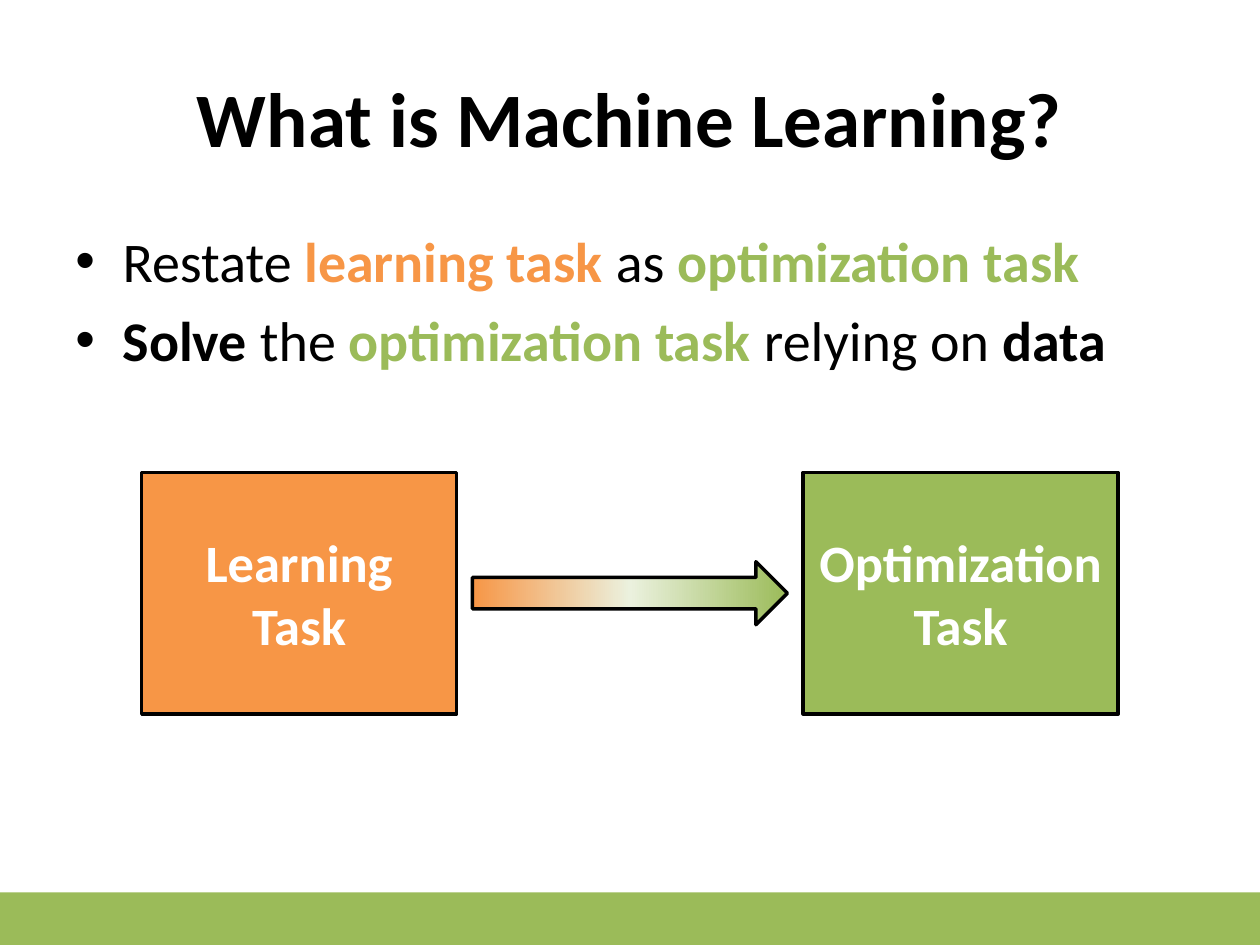
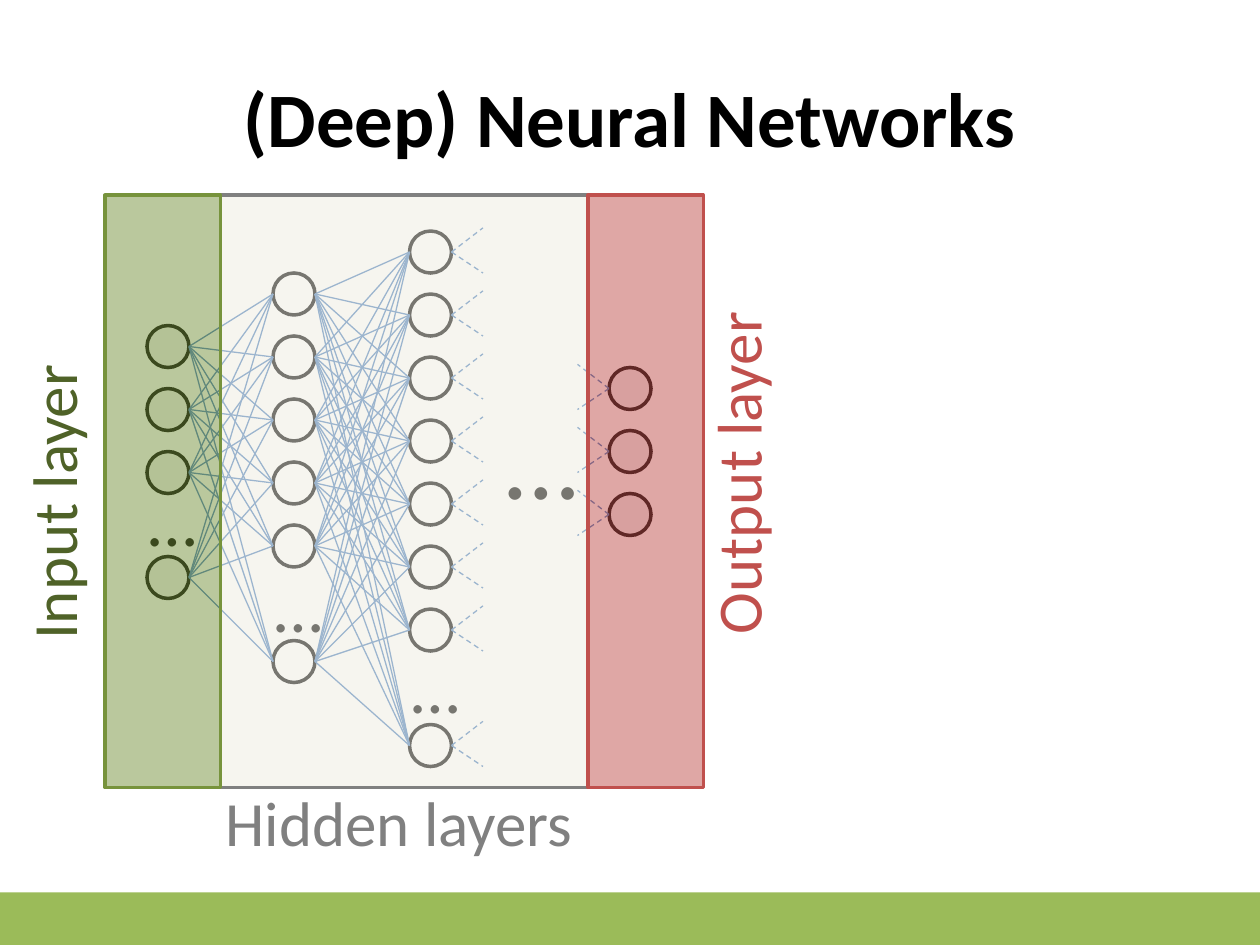
from copy import deepcopy

from lxml.etree import SubElement
from pptx import Presentation
from pptx.dml.color import RGBColor
from pptx.enum.dml import MSO_LINE
from pptx.enum.shapes import MSO_CONNECTOR, MSO_SHAPE
from pptx.enum.text import MSO_ANCHOR, PP_ALIGN
from pptx.oxml.ns import qn
from pptx.util import Pt

PX = 7620  # EMU per px, 120 px to the inch
FONT = "Calibri"
C = {
    "black": "000000", "white": "FFFFFF", "orange": "F79646", "green": "9BBB59",
    "pale_green": "EBF1DE", "node_grey": "F2F2F2", "link": "4B7EBC",
    "cream": "EEECE1", "grey": "808080", "olive": "77933C",
    "dark_olive": "4F6228", "red": "C0504D",
}


def add_box(s, kind, at, fill, line=None):
    sp = s.shapes.add_shape(kind, *[v * PX for v in at])
    sp.shadow.inherit = False
    sp.fill.solid()
    sp.fill.fore_color.rgb = RGBColor.from_string(C[fill])
    if line:
        sp.line.color.rgb = RGBColor.from_string(C[line])
        sp.line.width = Pt(2)
    else:
        sp.line.fill.background()
    return sp


def add_runs(p, size, runs, align=PP_ALIGN.CENTER):
    p.alignment = align
    for text, color, bold in runs:
        r = p.add_run()
        r.text = text
        r.font.name = FONT
        r.font.size = Pt(size)
        r.font.bold = bold
        r.font.color.rgb = RGBColor.from_string(C[color])


prs = Presentation()
prs.slide_width, prs.slide_height = 1200 * PX, 900 * PX

# Shared title and bottom band
slides = []
for title in ["What is Machine Learning?", "(Deep) Neural Networks"]:
    s = prs.slides.add_slide(prs.slide_layouts[5])
    add_box(s, MSO_SHAPE.RECTANGLE, (0, 850, 1200, 50), "green")
    sp = s.shapes.title
    sp.left, sp.top, sp.width, sp.height = [v * PX for v in (60, 36, 1080, 150)]
    sp.text_frame.vertical_anchor = MSO_ANCHOR.MIDDLE
    add_runs(sp.text_frame.paragraphs[0], 44, [(title, "black", True)])
    slides.append(s)
task_slide, network_slide = slides

# Slide 1: bullets
bullets = [
    [("Restate ", "black", False), ("learning task", "orange", True),
     (" as ", "black", False), ("optimization task", "green", True)],
    [("Solve", "black", True), (" the ", "black", False),
     ("optimization task", "green", True), (" relying on ", "black", False),
     ("data", "black", True)],
]
tf = task_slide.shapes.add_textbox(60 * PX, 210 * PX, 1080 * PX, 594 * PX).text_frame
tf.word_wrap = True
for i, runs in enumerate(bullets):
    p = tf.add_paragraph() if i else tf.paragraphs[0]
    add_runs(p, 32, runs, PP_ALIGN.LEFT)
    p.space_before = Pt(6.4)
    pPr = p._p.get_or_add_pPr()
    pPr.set("marL", str(45 * PX))
    pPr.set("indent", str(-45 * PX))
    SubElement(pPr, qn("a:buFont")).set("typeface", "Arial")
    SubElement(pPr, qn("a:buChar")).set("char", "•")

# Slide 1: task boxes
for x, word, color in [(135, "Learning", "orange"), (765, "Optimization", "green")]:
    sp = add_box(task_slide, MSO_SHAPE.RECTANGLE, (x, 450, 300, 230), color, "black")
    tf = sp.text_frame
    tf.word_wrap = True
    tf.vertical_anchor = MSO_ANCHOR.MIDDLE
    p = tf.paragraphs[0]
    add_runs(p, 30, [(word, "white", True)])
    p.add_line_break()
    add_runs(p, 30, [("Task", "white", True)])

# Slide 1: arrow with a three-stop gradient
arrow = add_box(task_slide, MSO_SHAPE.RIGHT_ARROW, (450, 535, 300, 60), "green", "black")
arrow.fill.gradient()
arrow.fill.gradient_angle = 0
stop_list = arrow._element.spPr.find(".//" + qn("a:gsLst"))
stop_list.append(deepcopy(stop_list[0]))
stops = zip(arrow.fill.gradient_stops, (0, 0.5, 1), ("orange", "pale_green", "green"))
for stop, position, color in stops:
    stop.position = position
    stop.color.rgb = RGBColor.from_string(C[color])

# Slide 2: nodes, given by left edge and top edges of each layer
NODE, STEP = 40, 60
layers = {
    "input": (140, [310 + STEP * i for i in range(3)] + [530], "node_grey"),
    "hidden 1": (260, [260 + STEP * i for i in range(5)] + [610], "white"),
    "hidden 2": (390, [220 + STEP * i for i in range(7)] + [690], "white"),
    "output": (580, [350 + STEP * i for i in range(3)], "node_grey"),
}
for x, tops, fill in layers.values():
    for y in tops:
        add_box(network_slide, MSO_SHAPE.OVAL, (x, y, NODE, NODE), fill, "black")

# Slide 2: ellipses for left-out nodes and layers
for x, y, h, size in [(130, 448, 92, 40), (250, 530, 92, 40),
                      (380, 607, 92, 40), (470, 370, 133, 60)]:
    tf = network_slide.shapes.add_textbox(x * PX, y * PX, 60 * PX, h * PX).text_frame
    tf.word_wrap = True
    add_runs(tf.paragraphs[0], size, [("…", "black", False)])

# Slide 2: full links between neighbouring layers, dashed stubs beside the gap
links = []
for a, b in [("input", "hidden 1"), ("hidden 1", "hidden 2")]:
    (xa, tops_a, _), (xb, tops_b, _) = layers[a], layers[b]
    links += [(xa + NODE, ya + NODE // 2, xb, yb + NODE // 2, False)
              for ya in tops_a for yb in tops_b]
for name, node_dx, end_dx in [("hidden 2", NODE, NODE + 30), ("output", 0, -30)]:
    x, tops, _ = layers[name]
    links += [(x + node_dx, y + NODE // 2, x + end_dx, y + NODE // 2 + dy, True)
              for y in tops for dy in (-23, 20)]
for *ends, dashed in links:
    line = network_slide.shapes.add_connector(MSO_CONNECTOR.STRAIGHT, *[v * PX for v in ends])
    line.line.color.rgb = RGBColor.from_string(C["link"])
    line.line.width = Pt(0.75)
    if dashed:
        line.line.dash_style = MSO_LINE.DASH
    SubElement(line._element.spPr, qn("a:effectLst"))

# Slide 2: half-transparent layer panels with their labels
panels = [
    (210, 350, "cream", "grey", "Hidden layers", "grey", 160, 740, 0),
    (100, 110, "olive", "olive", "Input layer", "dark_olive", -170, 436, 270),
    (560, 110, "red", "red", "Output layer", "red", 482, 408, 270),
]
for x, w, fill, edge, label, color, label_x, label_y, turn in panels:
    sp = add_box(network_slide, MSO_SHAPE.RECTANGLE, (x, 186, w, 564), fill, edge)
    fill_color = sp._element.spPr.find(qn("a:solidFill"))[0]
    SubElement(fill_color, qn("a:alpha")).set("val", "50000")
    tb = network_slide.shapes.add_textbox(label_x * PX, label_y * PX, 440 * PX, 85 * PX)
    tb.rotation = turn
    tb.text_frame.word_wrap = True
    add_runs(tb.text_frame.paragraphs[0], 36, [(label, color, False)])

prs.save("out.pptx")
